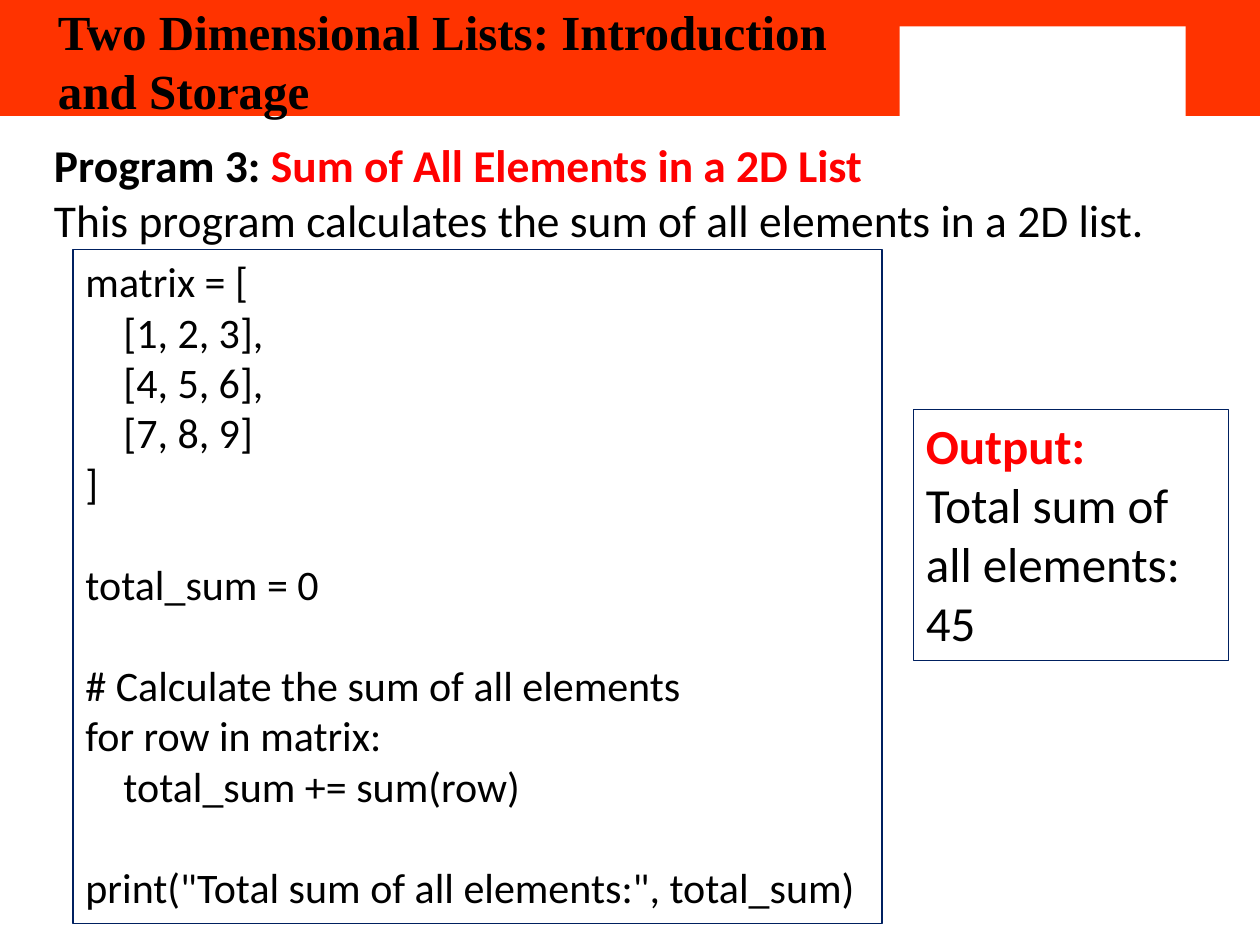
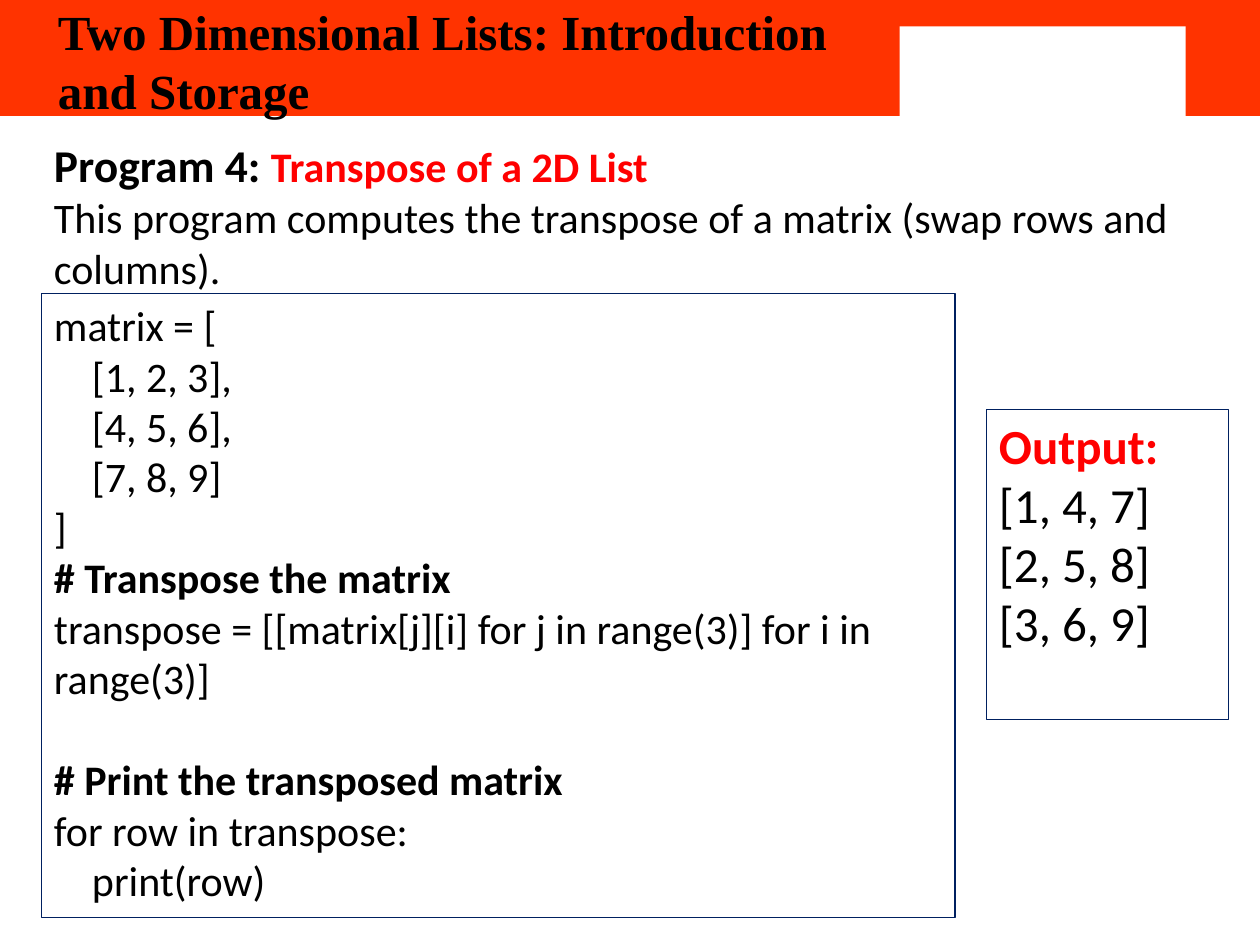
from dataclasses import dataclass

from pptx import Presentation
from pptx.dml.color import RGBColor
from pptx.enum.shapes import MSO_SHAPE
from pptx.enum.text import MSO_ANCHOR, PP_ALIGN
from pptx.shapes.autoshape import Shape
from pptx.slide import Slide
from pptx.util import Emu, Pt

PX_PER_INCH = 100
COLORS = {
    "band": "FF3300",
    "paper": "FFFFFF",
    "ink": "000000",
    "accent": "FF0000",
    "frame": "002060",
}
TITLE = "Two Dimensional Lists: Introduction and Storage"
TITLE_FONT = "Times New Roman"
BODY_FONT = "Calibri"
CODE_SIZE = 24
OUTPUT_SIZE = 28
BLANK_LINE = 29


@dataclass(frozen=True)
class Box:
    left: int
    top: int
    width: int
    height: int


@dataclass(frozen=True)
class Span:
    text: str
    size: int
    color: str = "ink"
    bold: bool = False
    font: str = BODY_FONT


@dataclass(frozen=True)
class Line:
    spans: tuple[Span, ...]
    gap: int = 0


@dataclass(frozen=True)
class Program:
    number: int
    name: str
    summary: str
    summary_size: int
    intro_box: Box
    intro_align: PP_ALIGN
    code: str
    code_box: Box
    bold_comments: bool
    output: tuple[str, ...]
    output_box: Box


HEADER_PARTS = (
    (Box(0, 0, 1000, 92), "band"),
    (Box(672, 0, 328, 92), "band"),
    (Box(714, 21, 227, 75), "paper"),
)
TITLE_BOX = Box(33, 0, 683, 96)
TITLE_INDENT = 13

PROGRAMS = (
    Program(
        number=3,
        name="Sum of All Elements in a 2D List",
        summary="This program calculates the sum of all elements in a 2D list.",
        summary_size=26,
        intro_box=Box(33, 104, 942, 98),
        intro_align=PP_ALIGN.JUSTIFY,
        code="""matrix = [
    [1, 2, 3],
    [4, 5, 6],
    [7, 8, 9]
]

total_sum = 0

# Calculate the sum of all elements
for row in matrix:
    total_sum += sum(row)

print("Total sum of all elements:", total_sum)""",
        code_box=Box(58, 198, 642, 535),
        bold_comments=False,
        output=("Total sum of all elements: 45",),
        output_box=Box(725, 325, 250, 199),
    ),
    Program(
        number=4,
        name="Transpose of a 2D List",
        summary="This program computes the transpose of a matrix (swap rows and columns).",
        summary_size=24,
        intro_box=Box(33, 104, 942, 135),
        intro_align=PP_ALIGN.LEFT,
        code="""matrix = [
    [1, 2, 3],
    [4, 5, 6],
    [7, 8, 9]
]
# Transpose the matrix
transpose = [[matrix[j][i] for j in range(3)] for i in range(3)]

# Print the transposed matrix
for row in transpose:
    print(row)""",
        code_box=Box(33, 233, 725, 495),
        bold_comments=True,
        output=("[1, 4, 7]", "[2, 5, 8]", "[3, 6, 9]"),
        output_box=Box(783, 325, 192, 246),
    ),
)


def px(length: int) -> Emu:
    return Emu(length * 914400 // PX_PER_INCH)


def rgb(color: str) -> RGBColor:
    return RGBColor.from_string(COLORS[color])


def place(box: Box) -> tuple[Emu, Emu, Emu, Emu]:
    return px(box.left), px(box.top), px(box.width), px(box.height)


def add_rectangle(slide: Slide, box: Box) -> Shape:
    rectangle = slide.shapes.add_shape(MSO_SHAPE.RECTANGLE, *place(box))
    rectangle.shadow.inherit = False
    return rectangle


def write(holder: Shape, lines: list[Line], align: PP_ALIGN = PP_ALIGN.LEFT) -> None:
    frame = holder.text_frame
    frame.word_wrap = True
    frame.vertical_anchor = MSO_ANCHOR.TOP
    for index, line in enumerate(lines):
        paragraph = frame.add_paragraph() if index else frame.paragraphs[0]
        paragraph.alignment = align
        if line.gap:
            paragraph.space_before = Pt(line.gap)
        paragraph.text = line.spans[0].text
        for span in line.spans[1:]:
            paragraph.add_run().text = span.text
        for run, span in zip(paragraph.runs, line.spans):
            run.font.name = span.font
            run.font.size = Pt(span.size)
            run.font.bold = span.bold
            run.font.color.rgb = rgb(span.color)


def add_header(slide: Slide) -> None:
    for box, color in HEADER_PARTS:
        band = add_rectangle(slide, box)
        band.fill.solid()
        band.fill.fore_color.rgb = rgb(color)
        band.line.fill.background()
    title = slide.shapes.add_textbox(*place(TITLE_BOX))
    frame = title.text_frame
    frame.margin_left, frame.margin_top = px(TITLE_INDENT), px(1)
    frame.margin_right = frame.margin_bottom = 0
    write(title, [Line((Span(TITLE, 28, bold=True, font=TITLE_FONT),))])


def add_intro(slide: Slide, program: Program) -> None:
    intro = slide.shapes.add_textbox(*place(program.intro_box))
    size = program.summary_size
    heading = (
        Span(f"Program {program.number}: ", 26, bold=True),
        Span(program.name, size, "accent", bold=True),
    )
    summary = (Span(program.summary, size),)
    write(intro, [Line(heading), Line(summary)], program.intro_align)


def add_panel(slide: Slide, box: Box, lines: list[Line]) -> None:
    panel = add_rectangle(slide, box)
    panel.fill.background()
    panel.line.color.rgb = rgb("frame")
    panel.line.width = Pt(0.75)
    write(panel, lines)


def code_lines(program: Program) -> list[Line]:
    lines: list[Line] = []
    gap = 0
    for statement in program.code.splitlines():
        if not statement:
            gap = BLANK_LINE
            continue
        bold = program.bold_comments and statement.startswith("#")
        lines.append(Line((Span(statement, CODE_SIZE, bold=bold),), gap))
        gap = 0
    return lines


def output_lines(program: Program) -> list[Line]:
    heading = Line((Span("Output:", OUTPUT_SIZE, "accent", bold=True),))
    return [heading] + [Line((Span(text, OUTPUT_SIZE),)) for text in program.output]


def main() -> None:
    deck = Presentation()
    deck.slide_width, deck.slide_height = px(1000), px(750)
    for program in PROGRAMS:
        slide = deck.slides.add_slide(deck.slide_layouts[6])
        add_header(slide)
        add_intro(slide, program)
        add_panel(slide, program.code_box, code_lines(program))
        add_panel(slide, program.output_box, output_lines(program))
    deck.save("out.pptx")


if __name__ == "__main__":
    main()
